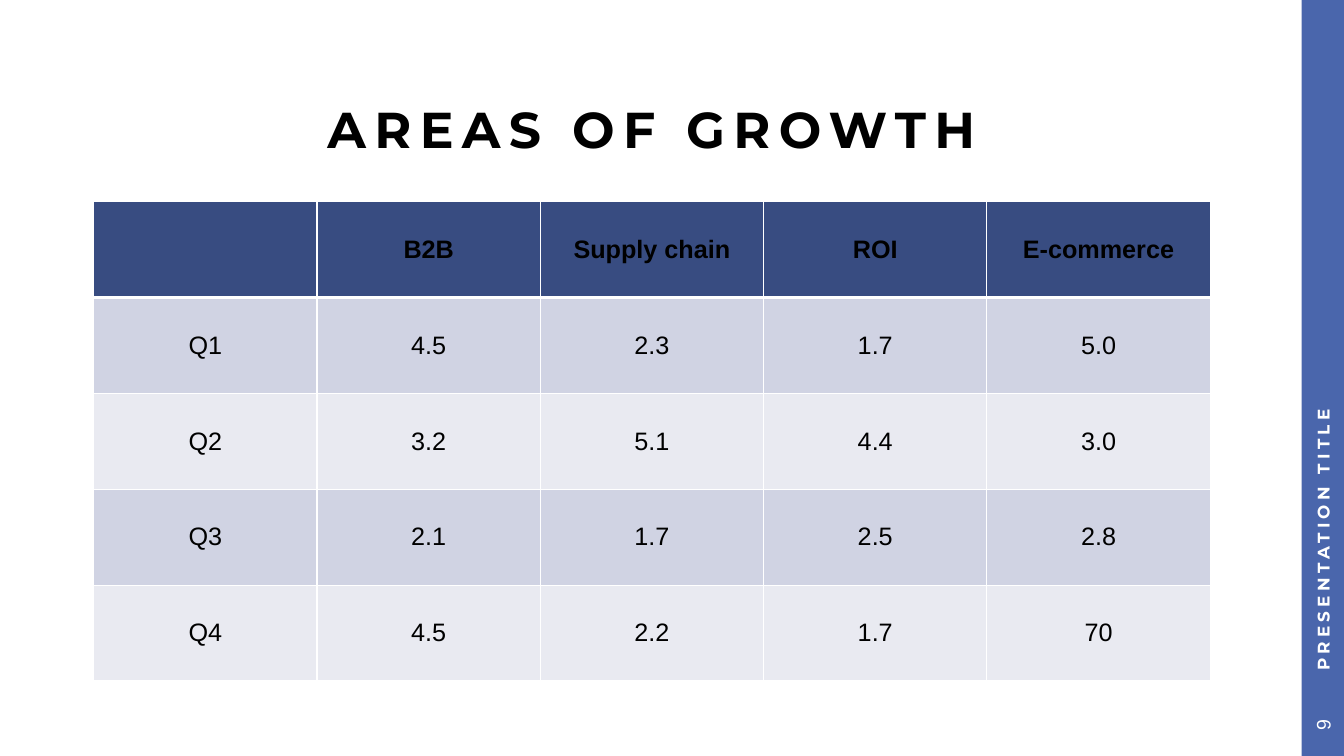
import pptx
import pptx.util
import pptx.dml.color
import pptx.enum.shapes
import pptx.enum.text
import pptx.oxml
import pptx.oxml.ns
from dataclasses import dataclass

TITLE = "AREAS OF GROWTH"
FOOTER = "PRESENTATION TITLE"
PAGE = "9"
ROWS = [
    ("", "B2B", "Supply chain", "ROI", "E-commerce"),
    ("Q1", "4.5", "2.3", "1.7", "5.0"),
    ("Q2", "3.2", "5.1", "4.4", "3.0"),
    ("Q3", "2.1", "1.7", "2.5", "2.8"),
    ("Q4", "4.5", "2.2", "1.7", "70"),
]

Pt = pptx.util.Pt
ALIGN = pptx.enum.text.PP_ALIGN
MIDDLE = pptx.enum.text.MSO_ANCHOR.MIDDLE


@dataclass(frozen=True)
class Theme:
    head: str = "Montserrat"
    body: str = "Arial"
    ink: str = "000000"
    white: str = "FFFFFF"
    bar: str = "4A66AC"
    top: str = "384C81"
    bands: tuple = ("D0D3E3", "E9EAF1")
    title: int = 36
    cell: int = 18
    foot: int = 12
    page: int = 14


THEME = Theme()
WIDE, HIGH = 960, 540
BAR = 30.24
LEFT, TOP = 67, 144
COL, ROW = 159.5, 68.5


def color(code):
    return pptx.dml.color.RGBColor.from_string(code)


def style(frame, face, size, ink, bold=False, align=ALIGN.CENTER, space=0):
    """Format every run of a frame; space is the letter spacing in points."""
    frame.vertical_anchor = MIDDLE
    for para in frame.paragraphs:
        para.alignment = align
        for run in para.runs:
            font = run.font
            font.name, font.size, font.bold = face, Pt(size), bold
            font.color.rgb = color(ink)
            if space:
                run._r.get_or_add_rPr().set("spc", str(space * 100))


def pad(frame, left, top, right, bottom):
    frame.margin_left, frame.margin_top = Pt(left), Pt(top)
    frame.margin_right, frame.margin_bottom = Pt(right), Pt(bottom)


def add_title(slide):
    shape = slide.shapes.title
    shape.left, shape.top, shape.width, shape.height = Pt(LEFT), Pt(69), Pt(797), Pt(51)
    frame = shape.text_frame
    frame.text = TITLE
    frame.auto_size = pptx.enum.text.MSO_AUTO_SIZE.NONE
    pad(frame, 0, 0, 0, 0)
    frame.paragraphs[0].line_spacing = 0.9
    style(frame, THEME.head, THEME.title, THEME.ink, True, space=6)


def add_bar(slide):
    bar = slide.shapes.add_shape(pptx.enum.shapes.MSO_SHAPE.RECTANGLE,
                                 Pt(WIDE - BAR), 0, Pt(BAR), Pt(HIGH))
    bar.shadow.inherit = False
    bar.fill.solid()
    bar.fill.fore_color.rgb = color(THEME.bar)
    bar.line.fill.background()


def add_side(slide, text, mid, span):
    """Add text that reads upward, centred on the bar at height mid."""
    box = slide.shapes.add_textbox(Pt(WIDE - BAR / 2 - span / 2), Pt(mid - BAR / 2),
                                   Pt(span), Pt(BAR))
    box.rotation = 270
    frame = box.text_frame
    frame.word_wrap = True
    frame.text = text
    return frame


def add_edges(cell, widths):
    """Draw the cell borders; widths maps a side (L, R, T, B) to points."""
    props = cell._tc.get_or_add_tcPr()
    for spot, (side, width) in enumerate(widths.items()):
        line = pptx.oxml.parse_xml(
            f'<a:ln{side} {pptx.oxml.ns.nsdecls("a")} w="{Pt(width)}"><a:solidFill>'
            f'<a:srgbClr val="{THEME.white}"/></a:solidFill></a:ln{side}>')
        props.insert(spot, line)


def add_grid(slide):
    rows, cols = len(ROWS), len(ROWS[0])
    table = slide.shapes.add_table(rows, cols, Pt(LEFT), Pt(TOP),
                                   Pt(COL * cols), Pt(ROW * rows)).table
    for col in table.columns:
        col.width = Pt(COL)
    for r, texts in enumerate(ROWS):
        table.rows[r].height = Pt(ROW)
        fill = THEME.bands[(r - 1) % 2] if r else THEME.top
        edges = {"L": 1, "R": 1, "T": 3 if r == 1 else 1, "B": 1 if r else 3}
        for c, text in enumerate(texts):
            cell = table.cell(r, c)
            cell.text = text
            cell.vertical_anchor = MIDDLE
            style(cell.text_frame, THEME.body, THEME.cell, THEME.ink, r == 0)
            cell.fill.solid()
            cell.fill.fore_color.rgb = color(fill)
            add_edges(cell, edges)


def main():
    deck = pptx.Presentation()
    deck.slide_width, deck.slide_height = Pt(WIDE), Pt(HIGH)
    slide = deck.slides.add_slide(deck.slide_layouts[5])
    add_bar(slide)
    add_title(slide)
    add_grid(slide)

    foot = add_side(slide, FOOTER, 247.7, 495.4)
    pad(foot, 16.5, 3.6, 7.2, 3.6)
    style(foot, THEME.head, THEME.foot, THEME.white, True, ALIGN.LEFT, 3)
    page = add_side(slide, PAGE, 517.7, 44.6)
    style(page, THEME.body, THEME.page, THEME.white)
    deck.save("out.pptx")


if __name__ == "__main__":
    main()
